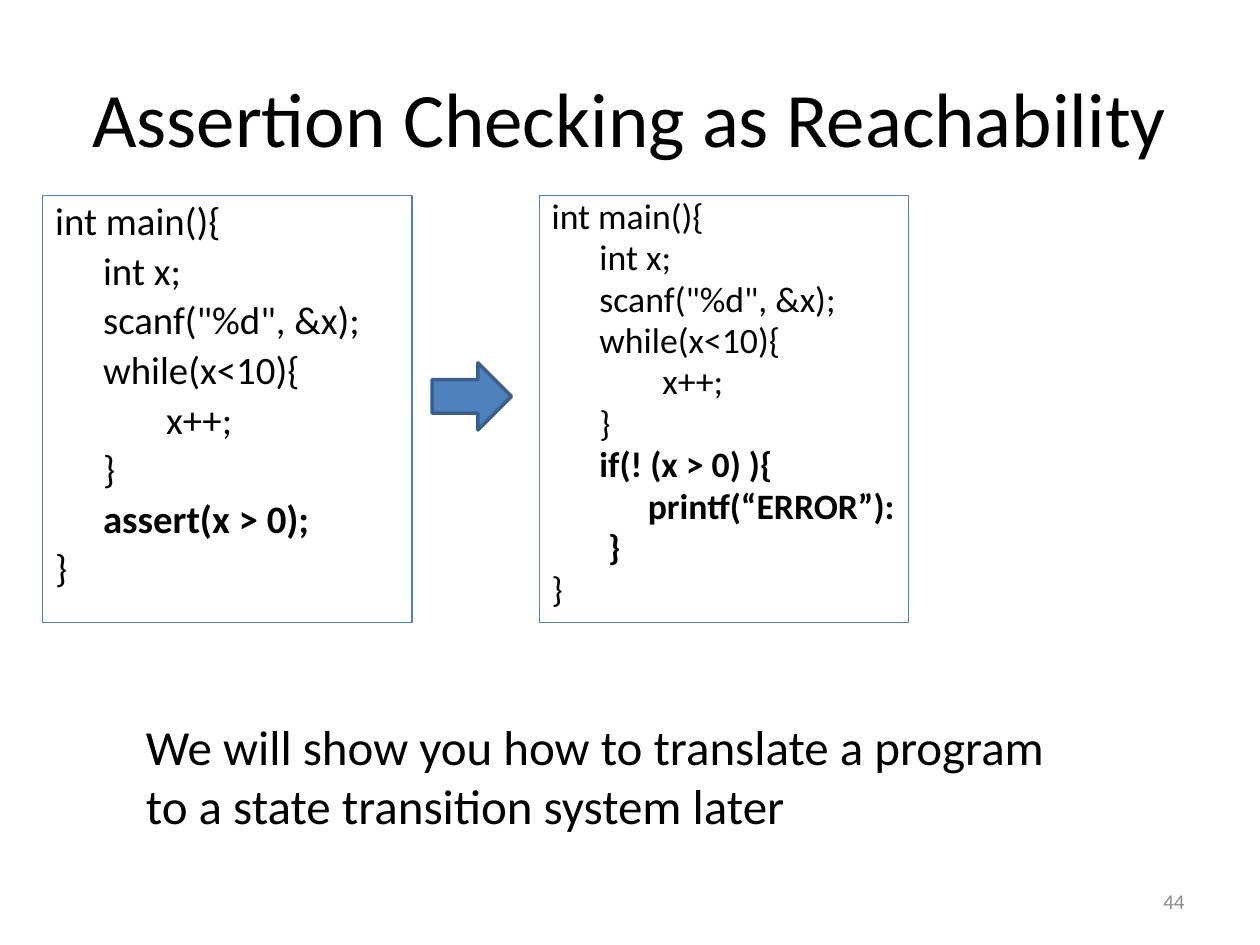
from pptx import Presentation
from pptx.dml.color import RGBColor
from pptx.enum.shapes import MSO_SHAPE
from pptx.enum.text import MSO_ANCHOR, MSO_AUTO_SIZE, PP_ALIGN
from pptx.util import Inches, Pt

THEME = {
    "font": "Calibri",
    "ink": RGBColor(0, 0, 0),
    "muted": RGBColor(0x8C, 0x8C, 0x8C),
    "accent": RGBColor(0x4F, 0x81, 0xBD),
    "arrow_edge": RGBColor(0x3A, 0x5F, 0x8C),
    "title": 44, "note": 28, "number": 12,
}

deck = Presentation()
deck.slide_width, deck.slide_height = Inches(10), Inches(7.5)
W, H = deck.slide_width, deck.slide_height
slide = deck.slides.add_slide(deck.slide_layouts[5])


def area(left, top, width, height):
    return int(W * left), int(H * top), int(W * width), int(H * height)


def write(paragraph, text, size, color=THEME["ink"], bold=False):
    run = paragraph.add_run()
    run.text = text
    look = {"name": THEME["font"], "size": Pt(size), "bold": bold}
    for key, value in look.items():
        setattr(run.font, key, value)
    run.font.color.rgb = color


title = slide.shapes.title
title.left, title.top, title.width, title.height = area(0.05, 0.04, 0.9, 0.167)
title.text_frame.vertical_anchor = MSO_ANCHOR.MIDDLE
title.text_frame.paragraphs[0].alignment = PP_ALIGN.CENTER
write(title.text_frame.paragraphs[0], "Assertion Checking as Reachability", THEME["title"])

shared_code = ["int main(){", "\tint x;", '\tscanf("%d", &x);', "\twhile(x<10){", "\t\tx++;", "\t}"]
programs = [
    {"left": 0.034, "size": 22.2, "spacing": 0.9, "check": ["\tassert(x > 0);"]},
    {"left": 0.428, "size": 20.4, "spacing": 0.8,
     "check": ["\tif(! (x > 0) ){", "\t      printf(“ERROR”):", "       }"]},
]
for program in programs:
    panel = slide.shapes.add_shape(MSO_SHAPE.RECTANGLE, *area(program["left"], 0.207, 0.293, 0.452))
    panel.shadow.inherit = False
    panel.fill.background()
    panel.line.color.rgb = THEME["accent"]
    panel.line.width = Pt(0.75)
    code = panel.text_frame
    code.word_wrap = True
    code.vertical_anchor = MSO_ANCHOR.TOP
    for row, line in enumerate(shared_code + program["check"] + ["}"]):
        paragraph = code.add_paragraph() if row else code.paragraphs[0]
        layout = {"alignment": PP_ALIGN.LEFT, "line_spacing": program["spacing"],
                  "space_before": Pt(round(program["size"] * 0.2, 1) if row else 0)}
        for key, value in layout.items():
            setattr(paragraph, key, value)
        margins = paragraph._p.get_or_add_pPr()
        margins.set("marL", str(Inches(0.38)))
        margins.set("indent", str(-Inches(0.38)))
        write(paragraph, line, program["size"], bold=line in program["check"])

arrow = slide.shapes.add_shape(MSO_SHAPE.RIGHT_ARROW, *area(0.343, 0.384, 0.063, 0.071))
arrow.shadow.inherit = False
arrow.fill.solid()
arrow.fill.fore_color.rgb = THEME["accent"]
arrow.line.color.rgb = THEME["arrow_edge"]
arrow.line.width = Pt(2)

note = slide.shapes.add_textbox(*area(0.106, 0.752, 0.749, 0.139)).text_frame
note.word_wrap = False
note.auto_size = MSO_AUTO_SIZE.SHAPE_TO_FIT_TEXT
write(note.paragraphs[0], "We will show you how to translate a program", THEME["note"])
write(note.add_paragraph(), "to a state transition system later", THEME["note"])

number = slide.shapes.add_textbox(*area(0.717, 0.927, 0.233, 0.053)).text_frame
number.word_wrap = True
number.vertical_anchor = MSO_ANCHOR.MIDDLE
number.paragraphs[0].alignment = PP_ALIGN.RIGHT
write(number.paragraphs[0], "44", THEME["number"], THEME["muted"])

deck.save("out.pptx")
